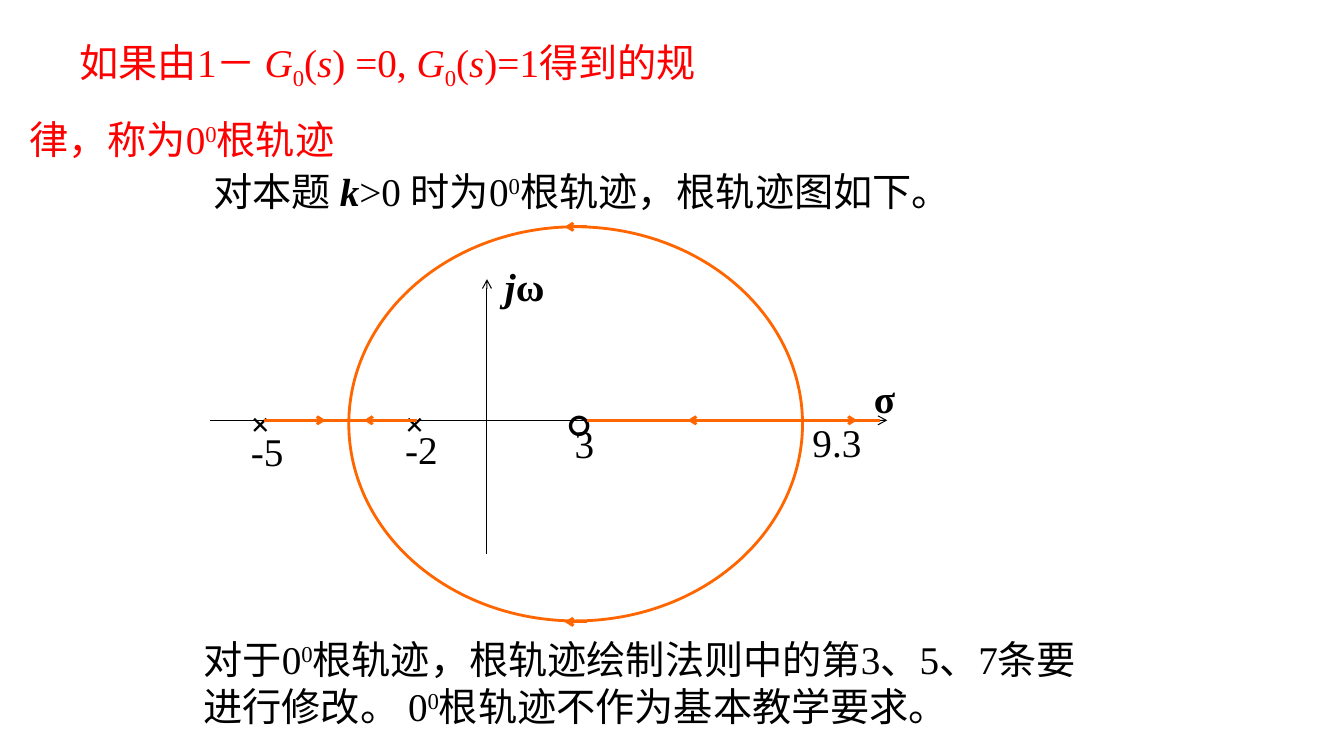
from dataclasses import dataclass

from lxml.etree import SubElement
from pptx import Presentation
from pptx.dml.color import RGBColor
from pptx.enum.shapes import MSO_CONNECTOR, MSO_SHAPE
from pptx.enum.text import MSO_ANCHOR, MSO_AUTO_SIZE, PP_ALIGN
from pptx.oxml.ns import qn
from pptx.shapes.autoshape import Shape
from pptx.shapes.group import GroupShape
from pptx.util import Inches, Pt

BLACK = RGBColor(0x00, 0x00, 0x00)
RED = RGBColor(0xFF, 0x00, 0x00)
ORANGE = RGBColor(0xFF, 0x66, 0x00)
FONT = "Times New Roman"
AXIS_Y = 4.17

STYLES = {
    "plain": {},
    "bold": {"bold": True},
    "italic": {"italic": True},
    "bold italic": {"bold": True, "italic": True},
    "sub": {},
    "sup": {},
}
BASELINES = {"sub": "-25000", "sup": "30000"}


@dataclass(frozen=True)
class Span:
    text: str
    style: str = "plain"


@dataclass(frozen=True)
class Caption:
    left: float
    top: float
    width: float
    height: float
    spans: tuple[Span, ...]
    size: int = 28
    color: RGBColor = BLACK


@dataclass(frozen=True)
class Segment:
    """A straight line; arrow names the end that carries the arrowhead."""
    x1: float
    y1: float
    x2: float
    y2: float
    arrow: str = ""
    color: RGBColor = ORANGE
    weight: float = 2


AXES = (
    Segment(2.08, AXIS_Y, 8.8, AXIS_Y, "tailEnd", BLACK, 0.75),
    Segment(4.83, 2.77, 4.83, 5.5, "headEnd", BLACK, 0.75),
)
BRANCHES = (
    Segment(2.62, AXIS_Y, 3.99, AXIS_Y),
    Segment(5.82, AXIS_Y, 8.73, AXIS_Y),
)
DIRECTIONS = (
    Segment(2.85, AXIS_Y, 3.23, AXIS_Y, "tailEnd"),
    Segment(3.61, AXIS_Y, 4.14, AXIS_Y, "headEnd"),
    Segment(8.12, AXIS_Y, 8.5, AXIS_Y, "tailEnd"),
    Segment(6.82, AXIS_Y, 7.2, AXIS_Y, "headEnd"),
    Segment(5.6, 2.25, 5.82, 2.25, "headEnd"),
    Segment(5.6, 6.17, 5.82, 6.17, "headEnd"),
)
POLES_AND_ZERO = (
    Caption(2.39, 3.95, 0.46, 0.44, (Span("×", "bold"),), 24),
    Caption(3.92, 3.95, 0.46, 0.44, (Span("×", "bold"),), 24),
    Caption(5.52, 3.58, 0.92, 0.8, (Span("。"),), 48),
)
LABELS = (
    Caption(4.91, 2.55, 0.76, 0.5, (Span("j", "bold italic"), Span("ω", "bold"))),
    Caption(8.57, 3.66, 0.53, 0.5, (Span("σ", "bold"),)),
    Caption(5.6, 4.11, 0.38, 0.5, (Span("3"),)),
    Caption(2.39, 4.19, 0.53, 0.5, (Span("-5"),)),
    Caption(3.92, 4.17, 0.61, 0.5, (Span("-2"),)),
    Caption(7.96, 4.1, 0.7, 0.5, (Span("9.3"),)),
)
G0_OF_S = (Span("G", "italic"), Span("0", "sub"), Span("("), Span("s", "italic"))
DEFINITION = Caption(0.27, 0.06, 7, 1.43, (
    Span("如果由1－ "), *G0_OF_S, Span(") =0, "), *G0_OF_S,
    Span(")=1得到的规律，称为0"), Span("0", "sup"), Span("根轨迹"),
), color=RED)
REMARKS = (
    Caption(2.02, 1.61, 7.92, 0.57, (
        Span("对本题 "), Span("k", "bold italic"), Span(">0 时为0"),
        Span("0", "sup"), Span("根轨迹，根轨迹图如下。"),
    )),
    Caption(1.92, 6.25, 9.17, 1.03, (
        Span("对于0"), Span("0", "sup"),
        Span("根轨迹，根轨迹绘制法则中的第3、5、7条要进行修改。 0"),
        Span("0", "sup"), Span("根轨迹不作为基本教学要求。"),
    )),
)


def write_caption(box: Shape, caption: Caption) -> None:
    placement = {"left": caption.left, "top": caption.top,
                 "width": caption.width, "height": caption.height}
    for name, value in placement.items():
        setattr(box, name, Inches(value))
    frame = box.text_frame
    frame_format = {"word_wrap": True, "auto_size": MSO_AUTO_SIZE.SHAPE_TO_FIT_TEXT,
                    "vertical_anchor": MSO_ANCHOR.TOP}
    for name, value in frame_format.items():
        setattr(frame, name, value)
    paragraph = frame.paragraphs[0]
    paragraph.alignment = PP_ALIGN.LEFT
    for span in caption.spans:
        run = paragraph.add_run()
        run.text = span.text
        font_format = {"name": FONT, "size": Pt(caption.size),
                       "bold": False, "italic": False} | STYLES[span.style]
        for name, value in font_format.items():
            setattr(run.font, name, value)
        run.font.color.rgb = caption.color
        if span.style in BASELINES:
            run._r.get_or_add_rPr().set("baseline", BASELINES[span.style])


def add_caption(shapes, caption: Caption) -> None:
    box = shapes.add_textbox(0, 0, Inches(1), Inches(1))
    write_caption(box, caption)


def add_segment(plot: GroupShape, segment: Segment) -> None:
    ends = (segment.x1, segment.y1, segment.x2, segment.y2)
    connector = plot.shapes.add_connector(MSO_CONNECTOR.STRAIGHT, *map(Inches, ends))
    connector.line.color.rgb = segment.color
    connector.line.width = Pt(segment.weight)
    if segment.arrow:
        SubElement(connector.line._get_or_add_ln(), qn(f"a:{segment.arrow}"), type="arrow")
    SubElement(connector._element.spPr, qn("a:effectLst"))


def add_circular_locus(plot: GroupShape) -> None:
    locus = plot.shapes.add_shape(
        MSO_SHAPE.OVAL, Inches(3.46), Inches(2.25), Inches(4.5), Inches(3.91))
    locus.shadow.inherit = False
    locus.fill.background()
    locus.line.color.rgb = ORANGE
    locus.line.width = Pt(2)


def write_definition(title: Shape) -> None:
    write_caption(title, DEFINITION)
    frame = title.text_frame
    frame.margin_left = frame.margin_right = Inches(0.02)
    paragraph = frame.paragraphs[0]
    paragraph.line_spacing = 1.5
    paragraph._p.get_or_add_pPr().set("indent", str(Inches(0.5)))


def main() -> None:
    presentation = Presentation()
    presentation.slide_width = Inches(13.33)
    presentation.slide_height = Inches(7.5)
    slide = presentation.slides.add_slide(presentation.slide_layouts[5])
    write_definition(slide.shapes.title)

    plot = slide.shapes.add_group_shape()
    for segment in AXES:
        add_segment(plot, segment)
    for caption in POLES_AND_ZERO:
        add_caption(plot.shapes, caption)
    for segment in BRANCHES:
        add_segment(plot, segment)
    for caption in LABELS:
        add_caption(plot.shapes, caption)
    add_circular_locus(plot)
    for segment in DIRECTIONS:
        add_segment(plot, segment)

    for caption in REMARKS:
        add_caption(slide.shapes, caption)
    presentation.save("out.pptx")


if __name__ == "__main__":
    main()
